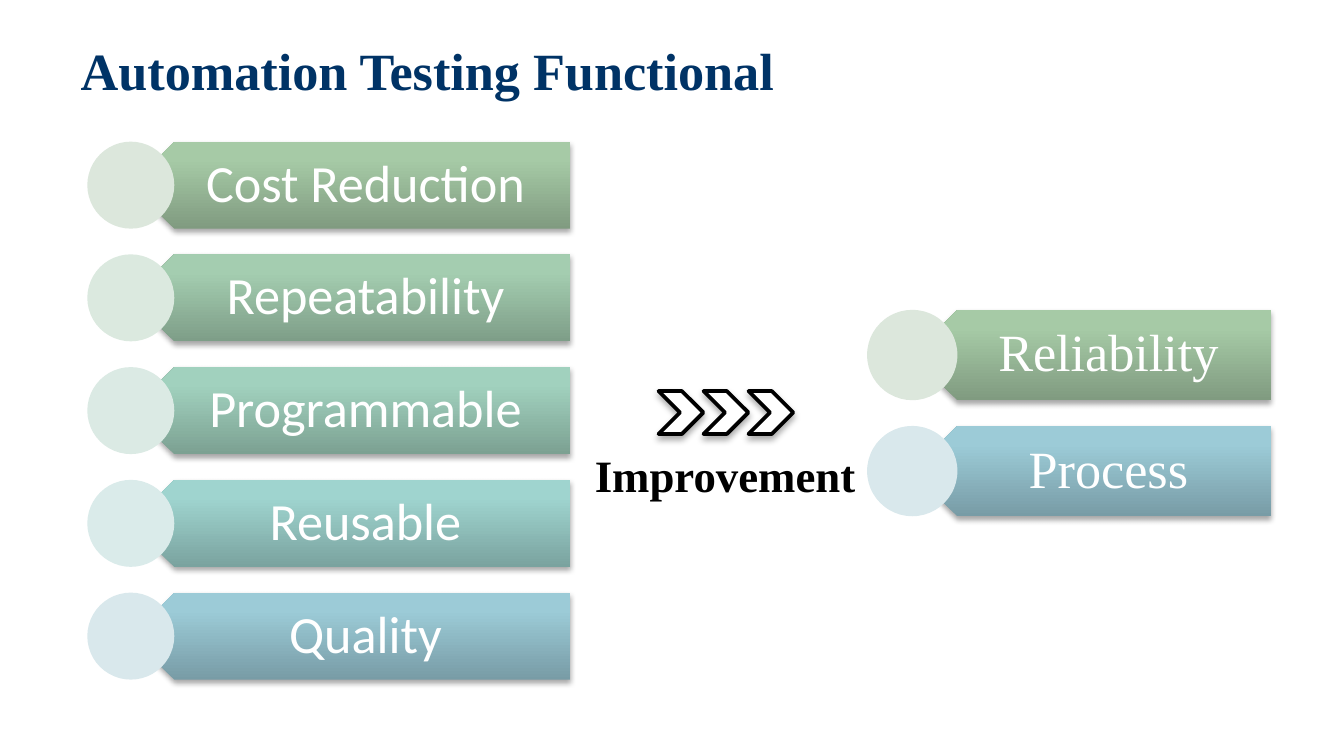
from lxml import etree
from pptx import Presentation
from pptx.dml.color import RGBColor
from pptx.enum import shapes, text
from pptx.oxml import ns, parse_xml
from pptx.util import Pt

NAVY = RGBColor(0x00, 0x33, 0x66)
BLACK = RGBColor(0, 0, 0)
WHITE = RGBColor(0xFF, 0xFF, 0xFF)
# Each tone: dark, mid and light stops of the bar, then the circle
SAGE = [RGBColor.from_string(c) for c in ("809B80", "A6CAA6", "A7CBA7", "DCE7DC")]
MINT = [RGBColor.from_string(c) for c in ("7E9E88", "A4CDB0", "A4CFB1", "DBE9DF")]
JADE = [RGBColor.from_string(c) for c in ("7CA192", "A1D1BE", "A1D2BF", "DBEAE4")]
TEAL = [RGBColor.from_string(c) for c in ("7AA39F", "9FD4CF", "9ED6D1", "DAEBEA")]
BLUE = [RGBColor.from_string(c) for c in ("789CA6", "9CCBD7", "9CCCD9", "D9E8EC")]
SERIF = "Times New Roman"
KIND = shapes.MSO_SHAPE


def write(frame, words, font=SERIF, size=28, color=WHITE, bold=False,
          align=text.PP_ALIGN.CENTER, anchor=text.MSO_ANCHOR.MIDDLE,
          inset=(7.2, 3.6, 7.2, 3.6), spacing=1.0):
    frame.word_wrap = True
    frame.vertical_anchor = anchor
    (frame.margin_left, frame.margin_top,
     frame.margin_right, frame.margin_bottom) = [Pt(n) for n in inset]
    para = frame.paragraphs[0]
    para.alignment = align
    para.line_spacing = spacing
    run = para.add_run()
    run.text = words
    run.font.name, run.font.size = font, Pt(size)
    run.font.bold, run.font.color.rgb = bold, color


def draw(parent, kind, box, fill, line=None, shade=None):
    """Add a preset shape; shade is (opacity %, blur, distance) of a drop shadow."""
    shape = parent.add_shape(kind, *[Pt(n) for n in box])
    shape.fill.solid()
    shape.fill.fore_color.rgb = fill
    if line:
        shape.line.color.rgb, shape.line.width = line, Pt(2)
    else:
        shape.line.fill.background()
    shape.shadow.inherit = False
    if shade:
        alpha, blur, dist = shade
        cast = etree.SubElement(
            shape._element.spPr.find(ns.qn("a:effectLst")), ns.qn("a:outerShdw"),
            blurRad=str(Pt(blur)), dist=str(Pt(dist)), dir="5400000", rotWithShape="0")
        tint = etree.SubElement(cast, ns.qn("a:srgbClr"), val="000000")
        etree.SubElement(tint, ns.qn("a:alpha"), val=str(alpha * 1000))
    return shape


deck = Presentation()
deck.slide_width, deck.slide_height = Pt(720), Pt(405)
slide = deck.slides.add_slide(deck.slide_layouts[5])

title = slide.shapes.title
title.left, title.top, title.width, title.height = Pt(36), Pt(7.2), Pt(648), Pt(60)
write(title.text_frame, "Automation Testing Functional", color=NAVY, bold=True,
      align=text.PP_ALIGN.LEFT)

# Each list: left, top, circle size, row pitch, right edge, text indent, font, rows
lists = [
    (46.8, 75.9, 46.6, 60.4, 305.4, 20.2, "Calibri",
     [("Cost Reduction", SAGE), ("Repeatability", MINT), ("Programmable", JADE),
      ("Reusable", TEAL), ("Quality", BLUE)]),
    (464.5, 166, 48.4, 62.2, 681, 21.6, SERIF,
     [("Reliability", SAGE), ("Process", BLUE)]),
]
for left, top, size, pitch, right, indent, font, rows in lists:
    group = slide.shapes.add_group_shape().shapes
    start = left + size / 2
    for i, (words, (dark, mid, light, pale)) in enumerate(rows):
        y = top + i * pitch
        bar = draw(group, KIND.PENTAGON, (start, y, right - start, size), mid,
                   shade=(35, 3.1, 1.8))
        bar.rotation = 180
        solid = bar._element.spPr.find(ns.qn("a:solidFill"))
        stops = "".join(
            f'<a:gs pos="{pos}000"><a:srgbClr val="{tone}"/></a:gs>'
            for pos, tone in ((0, dark), (80, mid), (100, light)))
        solid.getparent().replace(solid, parse_xml(
            f'<a:gradFill {ns.nsdecls("a")} rotWithShape="0"><a:gsLst>{stops}</a:gsLst>'
            '<a:lin ang="16200000" scaled="0"/></a:gradFill>'))
        edge = start + size / 4
        label = group.add_textbox(Pt(edge), Pt(y), Pt(right - edge), Pt(size))
        write(label.text_frame, words, font=font, spacing=0.9,
              inset=(indent, 8.6, 15.8, 8.6))
        draw(group, KIND.OVAL, (left, y, size, size), pale)

for i in range(3):
    draw(slide.shapes, KIND.CHEVRON, (352.8 + i * 24.1, 209.5, 24, 23), WHITE,
         line=BLACK, shade=(32, 3.5, 2.2))

note = slide.shapes.add_textbox(Pt(296.6), Pt(236.2), Pt(183.6), Pt(36))
write(note.text_frame, "Improvement", size=24, color=BLACK, bold=True,
      anchor=text.MSO_ANCHOR.TOP)
note.text_frame.auto_size = text.MSO_AUTO_SIZE.SHAPE_TO_FIT_TEXT

deck.save("out.pptx")
